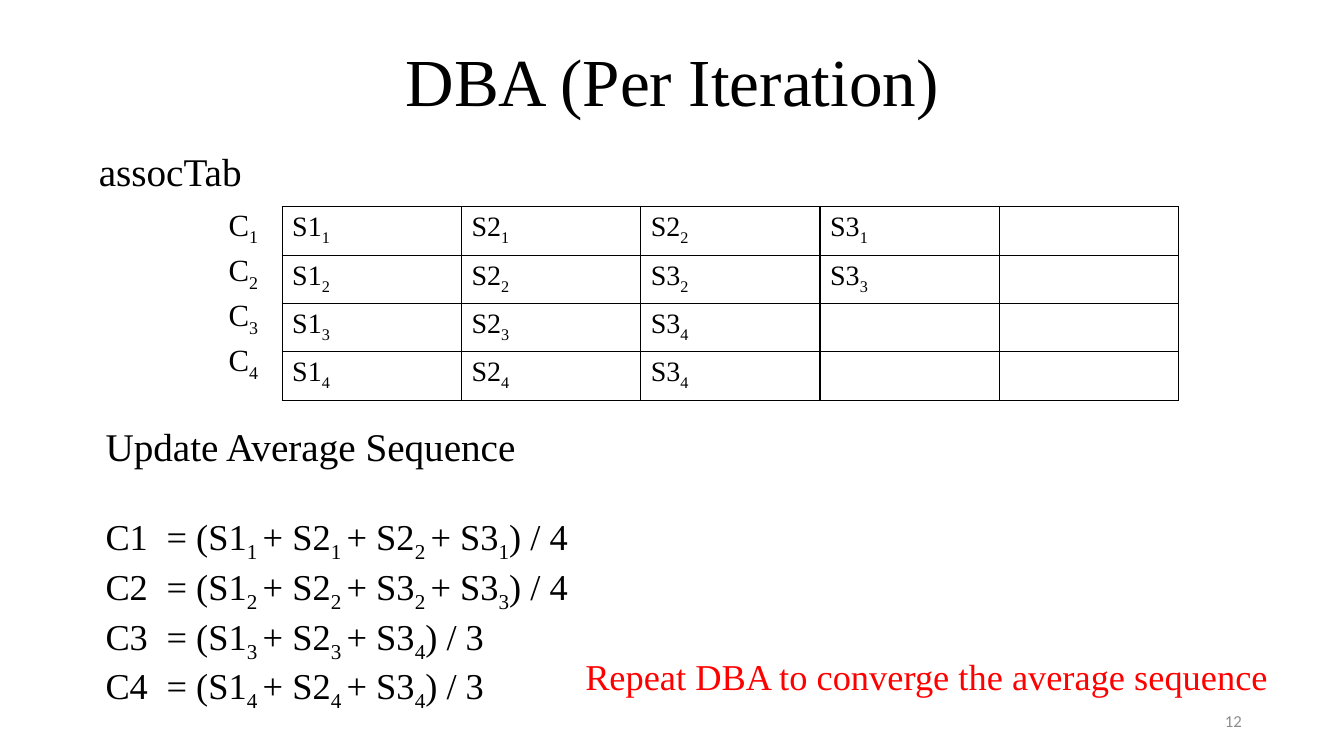
from pptx import Presentation
from pptx import util as u
from pptx.dml.color import RGBColor
from pptx.enum import text as t
from pptx.oxml import parse_xml
from pptx.oxml.ns import nsdecls

SERIF = "Times New Roman"
BLACK = "000000"
COLUMN_COUNT = 5
ASSOCIATIONS = [
    ["S1_1", "S2_1", "S2_2", "S3_1"],
    ["S1_2", "S2_2", "S3_2", "S3_3"],
    ["S1_3", "S2_3", "S3_4"],
    ["S1_4", "S2_4", "S3_4"],
]


def color(value):
    return RGBColor.from_string(value)


def add_run(paragraph, content, size, font, fill, subscript=False):
    run = paragraph.add_run()
    run.text = content
    run.font.size = u.Pt(size)
    run.font.name = font
    run.font.color.rgb = color(fill)
    if subscript:
        run._r.get_or_add_rPr().set("baseline", "-25000")


def write(paragraph, content, size, font=SERIF, fill=BLACK, align=t.PP_ALIGN.LEFT,
          line_spacing=None, space_before=None):
    """Fill a paragraph; an underscore makes the next character (and its space) a subscript."""
    paragraph.alignment = align
    paragraph.line_spacing = line_spacing
    if space_before:
        paragraph.space_before = u.Pt(space_before)
    plain, *pieces = content.split("_")
    add_run(paragraph, plain, size, font, fill)
    for piece in pieces:
        length = 2 if piece[1:2] == " " else 1
        add_run(paragraph, piece[:length], size, font, fill, subscript=True)
        if piece[length:]:
            add_run(paragraph, piece[length:], size, font, fill)


def add_text(slide, left, top, width, height, content, size,
             anchor=t.MSO_ANCHOR.TOP, **style):
    box = slide.shapes.add_textbox(u.Cm(left), u.Cm(top), u.Cm(width), u.Cm(height))
    frame = box.text_frame
    frame.word_wrap = True
    frame.vertical_anchor = anchor
    write(frame.paragraphs[0], content, size, **style)
    return frame


def add_tab_stop(paragraph, position):
    paragraph._p.get_or_add_pPr().append(parse_xml(
        f'<a:tabLst {nsdecls("a")}><a:tab pos="{u.Cm(position)}" algn="l"/></a:tabLst>'))


def outline_cell(cell):
    properties = cell._tc.get_or_add_tcPr()
    for side in ("lnL", "lnR", "lnT", "lnB"):
        properties.append(parse_xml(
            f'<a:{side} {nsdecls("a")} w="{u.Pt(1)}"><a:solidFill>'
            f'<a:srgbClr val="{BLACK}"/></a:solidFill></a:{side}>'))
    cell.fill.background()


def add_association_table(slide, left, top, column_width, row_height):
    row_count = len(ASSOCIATIONS)
    table = slide.shapes.add_table(
        row_count, COLUMN_COUNT, u.Cm(left), u.Cm(top),
        u.Cm(column_width * COLUMN_COUNT), u.Cm(row_height * row_count)).table
    table.first_row = table.horz_banding = False
    for cell in table.iter_cells():
        outline_cell(cell)
    for row, members in enumerate(ASSOCIATIONS):
        for column, member in enumerate(members):
            write(table.cell(row, column).text_frame.paragraphs[0], member, 20)


def add_average_formulas(slide):
    frame = add_text(slide, 2.41, 10.52, 30.25, 7.8, "Update Average Sequence", 28)
    for number, members in enumerate(ASSOCIATIONS, 1):
        paragraph = frame.add_paragraph()
        add_tab_stop(paragraph, 1.54)
        write(paragraph, f"C{number}\t= ({' + '.join(members)}) / {len(members)}", 26,
              space_before=32 if number == 1 else None)


def main():
    presentation = Presentation()
    presentation.slide_width = u.Cm(33.87)
    presentation.slide_height = u.Cm(19.05)
    slide = presentation.slides.add_slide(presentation.slide_layouts[6])

    add_text(slide, 2.34, 0.3, 29.21, 3.68, "DBA (Per Iteration)", 48,
             anchor=t.MSO_ANCHOR.MIDDLE, align=t.PP_ALIGN.CENTER, line_spacing=0.9)
    add_text(slide, 23.93, 17.65, 7.62, 1.02, "12", 12, anchor=t.MSO_ANCHOR.MIDDLE,
             font="Calibri", fill="8C8C8C", align=t.PP_ALIGN.RIGHT)
    add_text(slide, 2.24, 3.71, 30.33, 14.48, "assocTab", 28, line_spacing=0.9)

    add_association_table(slide, 7.11, 5.21, 4.52, 1.15)
    for index in range(len(ASSOCIATIONS)):
        add_text(slide, 5.51, 5.05 + 1.14 * index, 1.88, 1.19, f"C_{index + 1}", 22)

    add_average_formulas(slide)
    add_text(slide, 14.5, 16.36, 18.82, 1.37,
             "Repeat DBA to converge the average sequence", 26, fill="FF0000")
    presentation.save("out.pptx")


if __name__ == "__main__":
    main()
